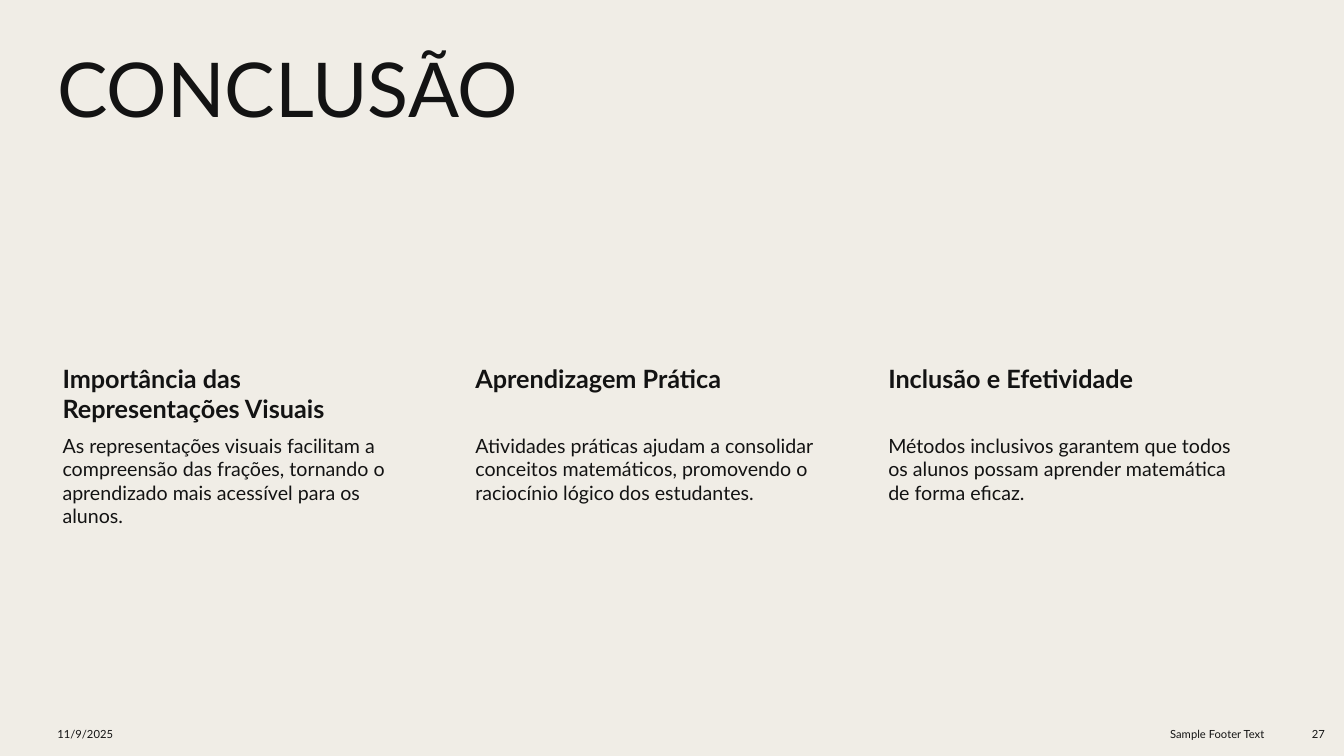
import pptx
import pptx.dml.color
import pptx.enum.text
import pptx.util

SLIDE_W, SLIDE_H = 13.33, 7.5
MARGIN = 0.47
CONTENT_W = 11.91
COLUMN_GAP = 0.375
HEADING_H = 0.71
FONT = "Lato"
INK, PAPER = "131313", "F0EDE6"
ALIGN = pptx.enum.text.PP_ALIGN
ANCHOR = pptx.enum.text.MSO_ANCHOR

CONCLUSIONS = [
    ("Importância das Representações Visuais",
     "As representações visuais facilitam a compreensão das frações, "
     "tornando o aprendizado mais acessível para os alunos."),
    ("Aprendizagem Prática",
     "Atividades práticas ajudam a consolidar conceitos matemáticos, "
     "promovendo o raciocínio lógico dos estudantes."),
    ("Inclusão e Efetividade",
     "Métodos inclusivos garantem que todos os alunos possam aprender "
     "matemática de forma eficaz."),
]


def color(hex_value):
    return pptx.dml.color.RGBColor.from_string(hex_value)


def add_text(slide, box, text, size, bold=False, align=ALIGN.LEFT,
             anchor=ANCHOR.TOP, insets=(0.1, 0.05, 0.1, 0.05), line_spacing=1.0):
    frame = slide.shapes.add_textbox(*map(pptx.util.Inches, box)).text_frame
    frame.word_wrap = True
    frame.vertical_anchor = anchor
    (frame.margin_left, frame.margin_top,
     frame.margin_right, frame.margin_bottom) = map(pptx.util.Inches, insets)
    paragraph = frame.paragraphs[0]
    paragraph.alignment = align
    paragraph.line_spacing = line_spacing
    run = paragraph.add_run()
    run.text = text
    run.font.name = FONT
    run.font.size = pptx.util.Pt(size)
    run.font.bold = bold
    run.font.color.rgb = color(INK)


def add_title(slide, box):
    add_text(slide, box, "CONCLUSÃO", 54, line_spacing=0.9)


def add_conclusions(slide, box):
    left, top, width, height = box
    count = len(CONCLUSIONS)
    column_w = (width - (count - 1) * COLUMN_GAP) / count
    for index, (heading, explanation) in enumerate(CONCLUSIONS):
        x = left + index * (column_w + COLUMN_GAP)
        add_text(slide, (x, top, column_w, HEADING_H), heading, 18, bold=True,
                 insets=(0.15, 0.03, 0.03, 0.03))
        add_text(slide, (x, top + HEADING_H, column_w, height - HEADING_H),
                 explanation, 14, insets=(0.15, 0.02, 0.02, 0.02))


def add_footer(slide, box):
    left, top, width, height = box
    right = left + width
    # Each part: text, left edge, width, alignment
    for text, x, part_w, align in (
            ("11/9/2025", left, 3.11, ALIGN.LEFT),
            ("Sample Footer Text", right - 3.51, 2.91, ALIGN.RIGHT),
            ("27", right - 0.5, 0.5, ALIGN.RIGHT)):
        add_text(slide, (x, top, part_w, height), text, 8, align=align,
                 anchor=ANCHOR.MIDDLE)


def main():
    deck = pptx.Presentation()
    deck.slide_width = pptx.util.Inches(SLIDE_W)
    deck.slide_height = pptx.util.Inches(SLIDE_H)
    slide = deck.slides.add_slide(deck.slide_layouts[6])
    slide.background.fill.solid()
    slide.background.fill.fore_color.rgb = color(PAPER)

    # Title, three columns, footer
    add_title(slide, (MARGIN, MARGIN, CONTENT_W, 1.78))
    add_conclusions(slide, (MARGIN, 3.57, CONTENT_W, 3.1))
    add_footer(slide, (MARGIN, 7.1, 12.77, 0.37))
    deck.save("out.pptx")


if __name__ == "__main__":
    main()
